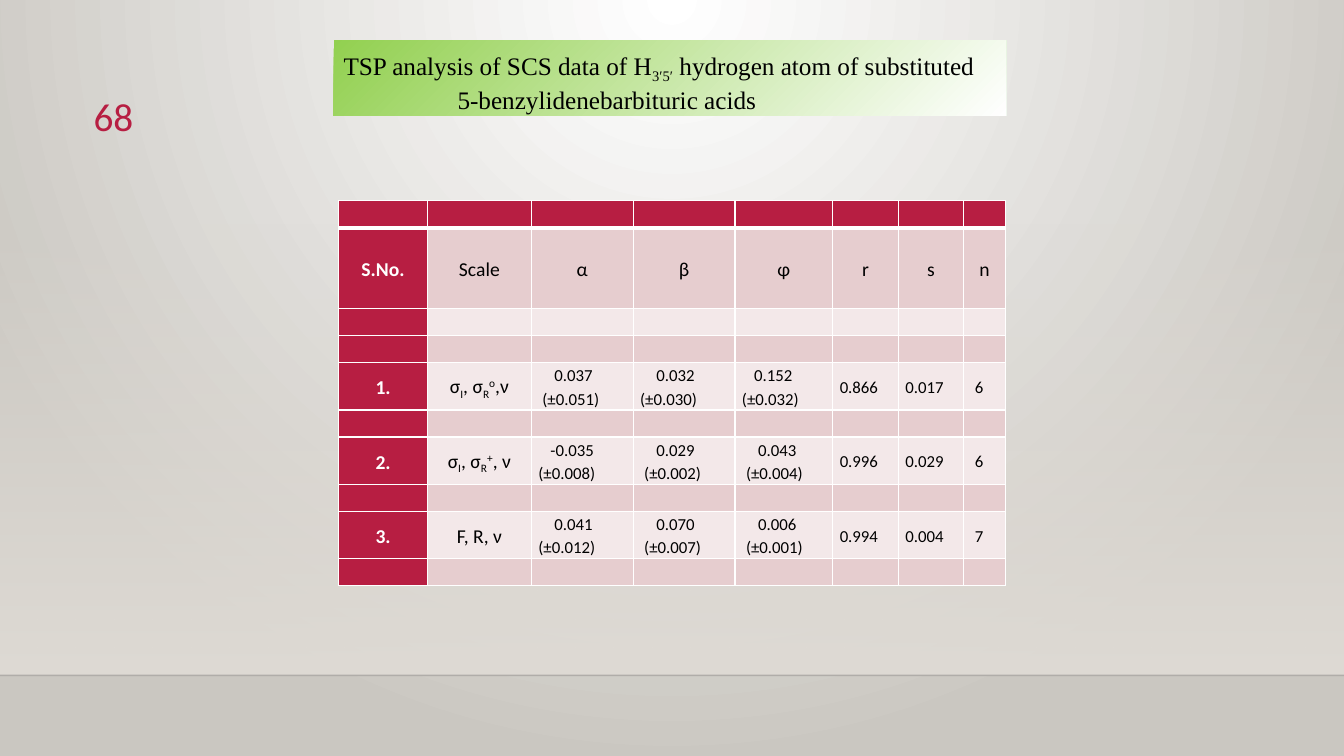
from lxml import etree
from pptx import Presentation
from pptx.dml.color import RGBColor
from pptx.enum import shapes, text
from pptx.oxml.ns import qn
from pptx.util import Inches, Pt

HUE = dict(white="FFFFFF", black="000000", edge="CAC7C1", floor="DFDBD5",
           line="000001", green="92D050", red="B71E42", rose="E6CDCF", pale="F3E8E9")
MID = text.MSO_ANCHOR.MIDDLE
LEFT, CENTER, RIGHT = text.PP_ALIGN.LEFT, text.PP_ALIGN.CENTER, text.PP_ALIGN.RIGHT

COLS = [0.88, 1.03, 1.01, 1.01, 0.97, 0.65, 0.65, 0.41]
ROWS = [0.27, 0.8, 0.27, 0.27, 0.46, 0.27, 0.46, 0.27, 0.46, 0.27]
HEAD = ["S.No.", "Scale", "α", "β", "φ", "r", "s", "n"]
SIGMA = [("σ", 0), ("I", -25), (", σ", 0), ("R", -25)]
# Each fit: scale, three (value, indent, error, indent), then r, s, n
FITS = {
    4: ("1.", SIGMA + [("o", 30), (",ν", 0)],
        ("0.037", 0.16, "(±0.051)", 0.04), ("0.032", 0.16, "(±0.030)", 0),
        ("0.152", 0.12, "(±0.032)", 0), "0.866", "0.017", "6"),
    6: ("2.", SIGMA + [("+", 30), (", ν", 0)],
        ("-0.035", 0.12, "(±0.008)", 0), ("0.029", 0.16, "(±0.002)", 0.04),
        ("0.043", 0.16, "(±0.004)", 0.04), "0.996", "0.029", "6"),
    8: ("3.", "F, R, ν",
        ("0.041", 0.16, "(±0.012)", 0), ("0.070", 0.16, "(±0.007)", 0.04),
        ("0.006", 0.16, "(±0.001)", 0.04), "0.994", "0.004", "7"),
}


def rgb(name):
    return RGBColor.from_string(HUE[name])


def sub(node, tag, **attrs):
    return etree.SubElement(node, qn("a:" + tag), {k: str(v) for k, v in attrs.items()})


def tint(node, name, alpha=100):
    color = sub(node, "srgbClr", val=HUE[name])
    if alpha < 100:
        sub(color, "alpha", val=alpha * 1000)


def grad(fill, node, stops, focus=None):
    """Fill with (name, alpha) stops, downwards or around a focus (l, t, r, b)."""
    fill.gradient()
    body = node.find(".//" + qn("a:gradFill"))
    for child in list(body):
        body.remove(child)
    group = sub(body, "gsLst")
    for i, (name, alpha) in enumerate(stops):
        tint(sub(group, "gs", pos=i * 100000), name, alpha)
    if focus:
        ring = sub(body, "path", path="circle")
        sub(ring, "fillToRect", **{k: v * 1000 for k, v in zip("ltrb", focus)})
    else:
        sub(body, "lin", ang=5400000, scaled=0)


def write(para, words, size, color="black", face="Calibri", bold=False,
          align=LEFT, indent=0, space=1.15):
    para.alignment, para.line_spacing = align, space
    para._p.get_or_add_pPr().set("marL", str(Inches(indent)))
    font = para.font
    font.size, font.name, font.bold = Pt(size), face, bold
    font.color.rgb = rgb(color)
    for part, base in [(words, 0)] if isinstance(words, str) else words:
        run = para.add_run()
        run.text = part
        if base:
            run._r.get_or_add_rPr().set("baseline", str(base * 1000))


def stage(slide, width, top, base):
    """Background glow, wall shade and floor line."""
    grad(slide.background.fill, slide.element, [("white", 100), ("edge", 100)], (43, 0, 43, 100))
    wall = slide.shapes.add_shape(shapes.MSO_SHAPE.RECTANGLE, 0, Inches(top),
                                  Inches(width), Inches(base - top))
    wall.shadow.inherit = False
    wall.line.fill.background()
    grad(wall.fill, wall.element, [("floor", 0), ("floor", 100)])
    edge = slide.shapes.add_connector(shapes.MSO_CONNECTOR.STRAIGHT, 0, Inches(base),
                                      Inches(width), Inches(base))
    edge.line.width = Pt(1)
    edge.line.color.rgb = rgb("line")
    sub(edge.element.find(".//" + qn("a:ln")).find(".//" + qn("a:srgbClr")), "alpha", val=20000)
    sub(edge.element.spPr, "effectLst")


def title(slide, *box):
    shape = slide.shapes.add_shape(shapes.MSO_SHAPE.RECTANGLE, *map(Inches, box))
    shape.shadow.inherit = False
    shape.line.fill.background()
    grad(shape.fill, shape.element, [("white", 100), ("green", 100)], (100, 100, 0, 0))
    frame = shape.text_frame
    frame.word_wrap = True
    frame.vertical_anchor = text.MSO_ANCHOR.TOP
    face = "Times New Roman"
    write(frame.paragraphs[0], [("TSP analysis of SCS data of H", 0), ("3′5′", -25),
                                (" hydrogen atom of substituted", 0)], 18, face=face)
    write(frame.add_paragraph(), "5-benzylidenebarbituric acids", 18, face=face,
          indent=1.13, space=1)


def number(slide, *box):
    frame = slide.shapes.add_textbox(*map(Inches, box)).text_frame
    frame.word_wrap = True
    write(frame.paragraphs[0], "68", 28, "red", align=RIGHT, space=1)


def border(cell, row):
    props = cell._tc.get_or_add_tcPr()
    for i, side in enumerate("LRTB"):
        thick = (row, side) in [(0, "B"), (1, "T")]
        line = sub(props, "ln" + side, w=Pt(3 if thick else 1))
        tint(sub(line, "solidFill"), "white")
        props.insert(i, line)


def label(cell, row, col, item):
    """Write one entry of the table in the style of its column."""
    first = cell.text_frame.paragraphs[0]
    if item is None:
        write(first, [], 12)
        sub(first._p, "endParaRPr", sz=1200)
    elif isinstance(item, tuple):
        value, inset, error, shift = item
        write(first, value, 12, indent=inset)
        write(cell.text_frame.add_paragraph(), error, 12, indent=shift)
    elif row == 1 or col < 2:
        write(first, item, 14, "black" if col else "white", bold=col == 0, align=CENTER)
    else:
        write(first, item, 12, indent=0.04 if col == 7 else 0)


def table(slide, left, top):
    grid = slide.shapes.add_table(len(ROWS), len(COLS), Inches(left), Inches(top),
                                  Inches(sum(COLS)), Inches(sum(ROWS))).table
    grid.first_row = grid.horz_banding = False
    for col, width in zip(grid.columns, COLS):
        col.width = Inches(width)
    for row, height in zip(grid.rows, ROWS):
        row.height = Inches(height)
    items = {1: HEAD, **FITS}
    for r in range(len(ROWS)):
        for c in range(len(COLS)):
            cell = grid.cell(r, c)
            cell.margin_left = cell.margin_right = Inches(0.07)
            cell.margin_top = cell.margin_bottom = 0
            cell.vertical_anchor = MID
            cell.fill.solid()
            cell.fill.fore_color.rgb = rgb("red" if r == 0 or c == 0 else
                                           "rose" if r % 2 else "pale")
            border(cell, r)
            label(cell, r, c, items[r][c] if r in items else None)


def main():
    deck = Presentation()
    deck.slide_width, deck.slide_height = Inches(13.33), Inches(7.5)
    slide = deck.slides.add_slide(deck.slide_layouts[6])
    stage(slide, 13.33, 2.21, 6.7)
    title(slide, 3.31, 0.4, 6.67, 0.75)
    table(slide, 3.36, 1.99)
    number(slide, 0.53, 0.87, 0.89, 0.55)
    deck.save("out.pptx")


if __name__ == "__main__":
    main()
